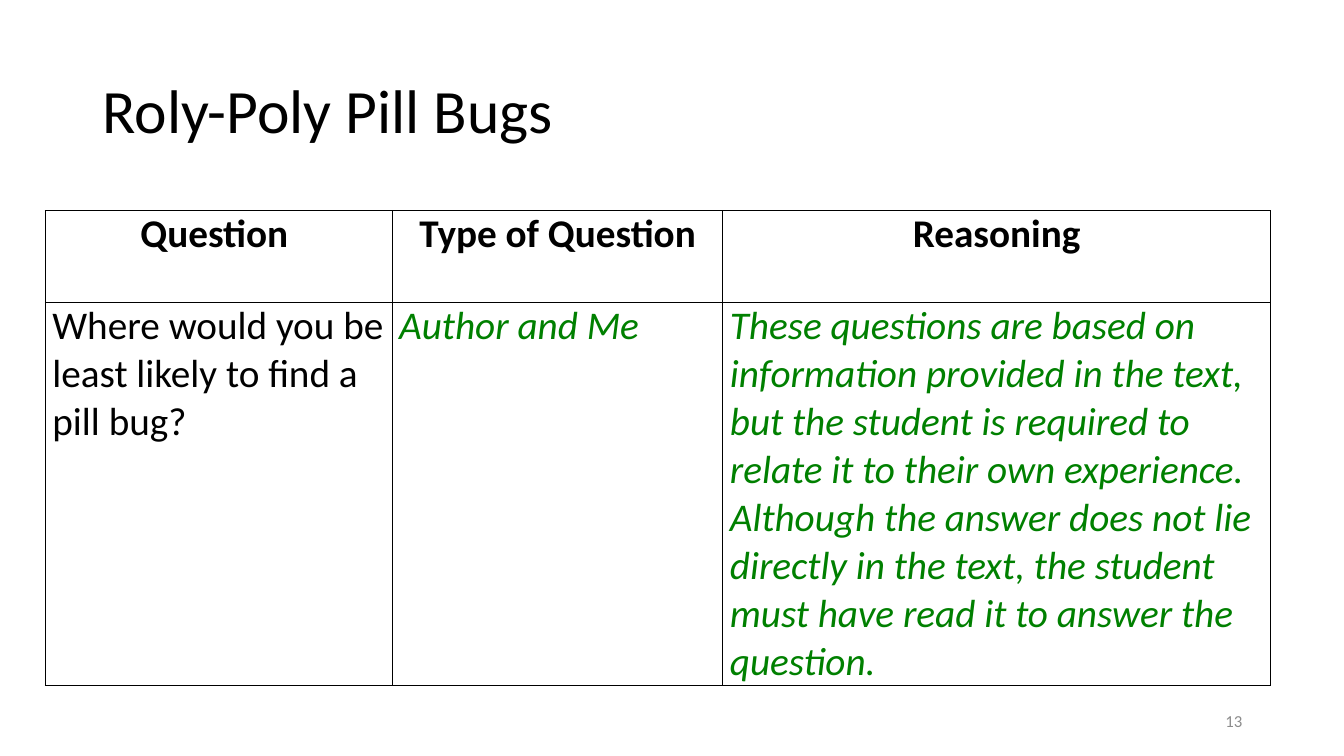
from dataclasses import dataclass

from lxml import etree
from pptx import Presentation
from pptx.dml.color import RGBColor
from pptx.enum.text import MSO_ANCHOR, PP_ALIGN
from pptx.oxml.ns import qn
from pptx.util import Inches, Pt

MIDDLE, TOP = MSO_ANCHOR.MIDDLE, MSO_ANCHOR.TOP
LEFT, CENTER, RIGHT = PP_ALIGN.LEFT, PP_ALIGN.CENTER, PP_ALIGN.RIGHT

TITLE = "Roly-Poly Pill Bugs"
PAGE_NUMBER = "13"
HEADINGS = ["Question ", "Type of Question", "Reasoning"]
ANSWERS = [
    "Where would you be least likely to find a pill bug?",
    "Author and Me",
    "These questions are based on information provided in the text, but the student is "
    "required to relate it to their own experience. Although the answer does not lie "
    "directly in the text, the student must have read it to answer the question.",
]

SLIDE_SIZE = (13.33, 7.5)
TITLE_AREA = (0.92, 0.4, 11.5, 1.45)
NUMBER_AREA = (9.42, 6.95, 3, 0.4)
TABLE_ORIGIN = (0.45, 2.09)
COLUMNS = [3.44, 3.28, 5.43]
ROWS = [0.91, 3.8]
CELL_INSET = 0.07


@dataclass(frozen=True)
class Theme:
    font: str = "Calibri"
    ink: str = "000000"
    answer: str = "008000"
    muted: str = "8C8C8C"
    title_size: int = 44
    table_size: int = 28
    number_size: int = 12
    border: int = 1


THEME = Theme()


def write(frame, text, size, color, align=LEFT, bold=False, italic=False):
    frame.word_wrap = True
    para = frame.paragraphs[0]
    para.text = text
    para.alignment = align
    font = para.runs[0].font
    font.name, font.size = THEME.font, Pt(size)
    font.bold, font.italic = bold, italic
    font.color.rgb = RGBColor.from_string(color)
    return para


def add_text(page, area, text, size, color, align=LEFT):
    box = page.shapes.add_textbox(*map(Inches, area))
    box.text_frame.vertical_anchor = MIDDLE
    return write(box.text_frame, text, size, color, align)


def add_borders(cell):
    properties = cell._tc.get_or_add_tcPr()
    for position, side in enumerate(("lnL", "lnR", "lnT", "lnB")):
        line = etree.Element(qn(f"a:{side}"), w=str(Pt(THEME.border)))
        fill = etree.SubElement(line, qn("a:solidFill"))
        etree.SubElement(fill, qn("a:srgbClr"), val=THEME.ink)
        properties.insert(position, line)


def style_cell(cell, text, is_heading, is_answer):
    cell.fill.background()
    add_borders(cell)
    cell.margin_left = cell.margin_right = Inches(CELL_INSET)
    cell.margin_top = cell.margin_bottom = 0
    cell.vertical_anchor = TOP
    para = write(
        cell.text_frame, text, THEME.table_size,
        THEME.answer if is_answer else THEME.ink,
        CENTER if is_heading else LEFT,
        bold=is_heading, italic=is_answer,
    )
    para.space_after = Pt(6)


def add_question_table(page):
    size = (sum(COLUMNS), sum(ROWS))
    frame = page.shapes.add_table(
        len(ROWS), len(COLUMNS), *map(Inches, TABLE_ORIGIN + size)
    )
    table = frame.table
    table.first_row = table.horz_banding = False
    for column, width in zip(table.columns, COLUMNS):
        column.width = Inches(width)
    for row, height in zip(table.rows, ROWS):
        row.height = Inches(height)
    for r, texts in enumerate((HEADINGS, ANSWERS)):
        for c, text in enumerate(texts):
            style_cell(table.cell(r, c), text, r == 0, r > 0 and c > 0)


def main():
    deck = Presentation()
    deck.slide_width, deck.slide_height = map(Inches, SLIDE_SIZE)
    page = deck.slides.add_slide(deck.slide_layouts[6])
    title = add_text(page, TITLE_AREA, TITLE, THEME.title_size, THEME.ink)
    title.line_spacing = 0.9
    add_question_table(page)
    add_text(page, NUMBER_AREA, PAGE_NUMBER, THEME.number_size, THEME.muted, RIGHT)
    deck.save("out.pptx")


if __name__ == "__main__":
    main()
